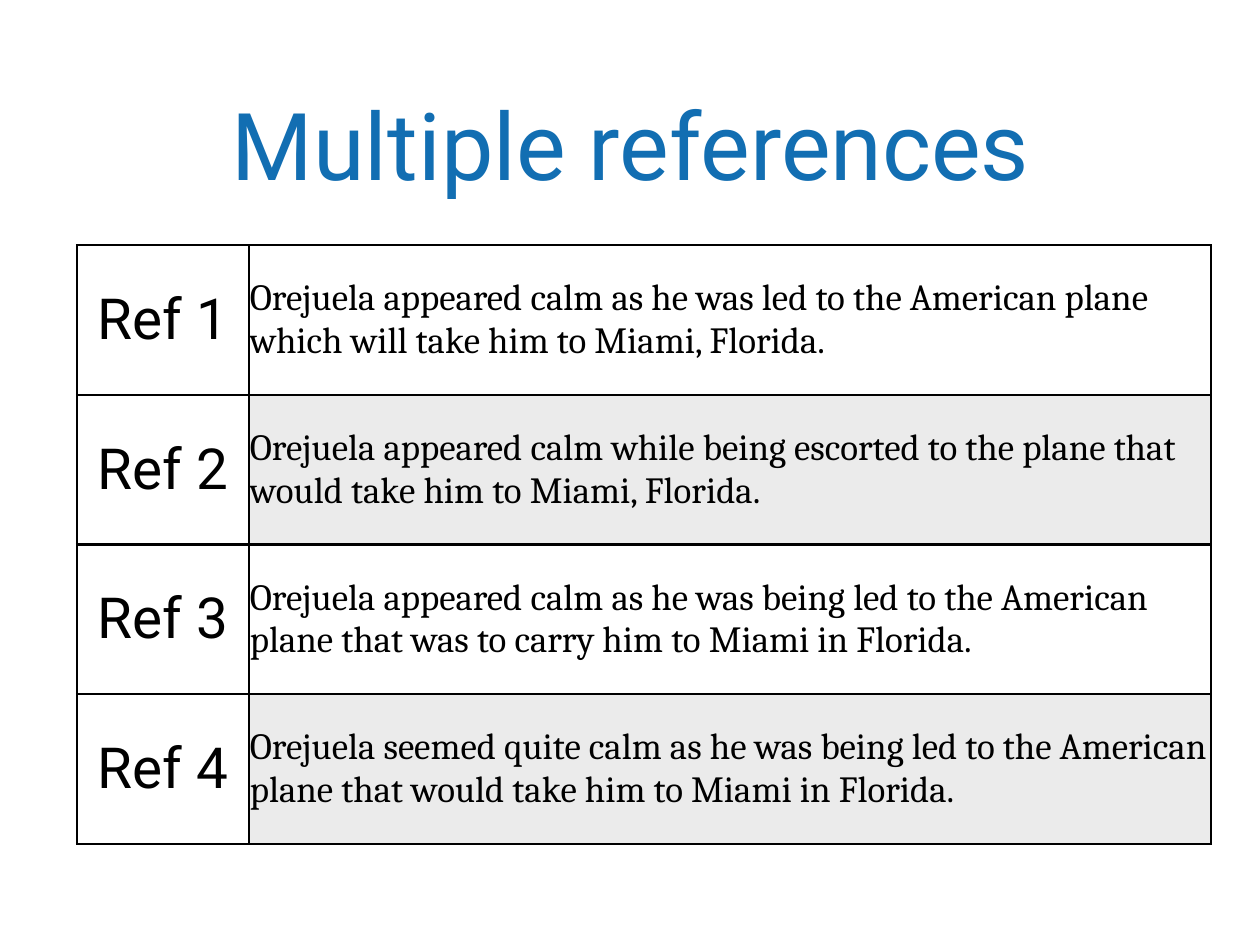
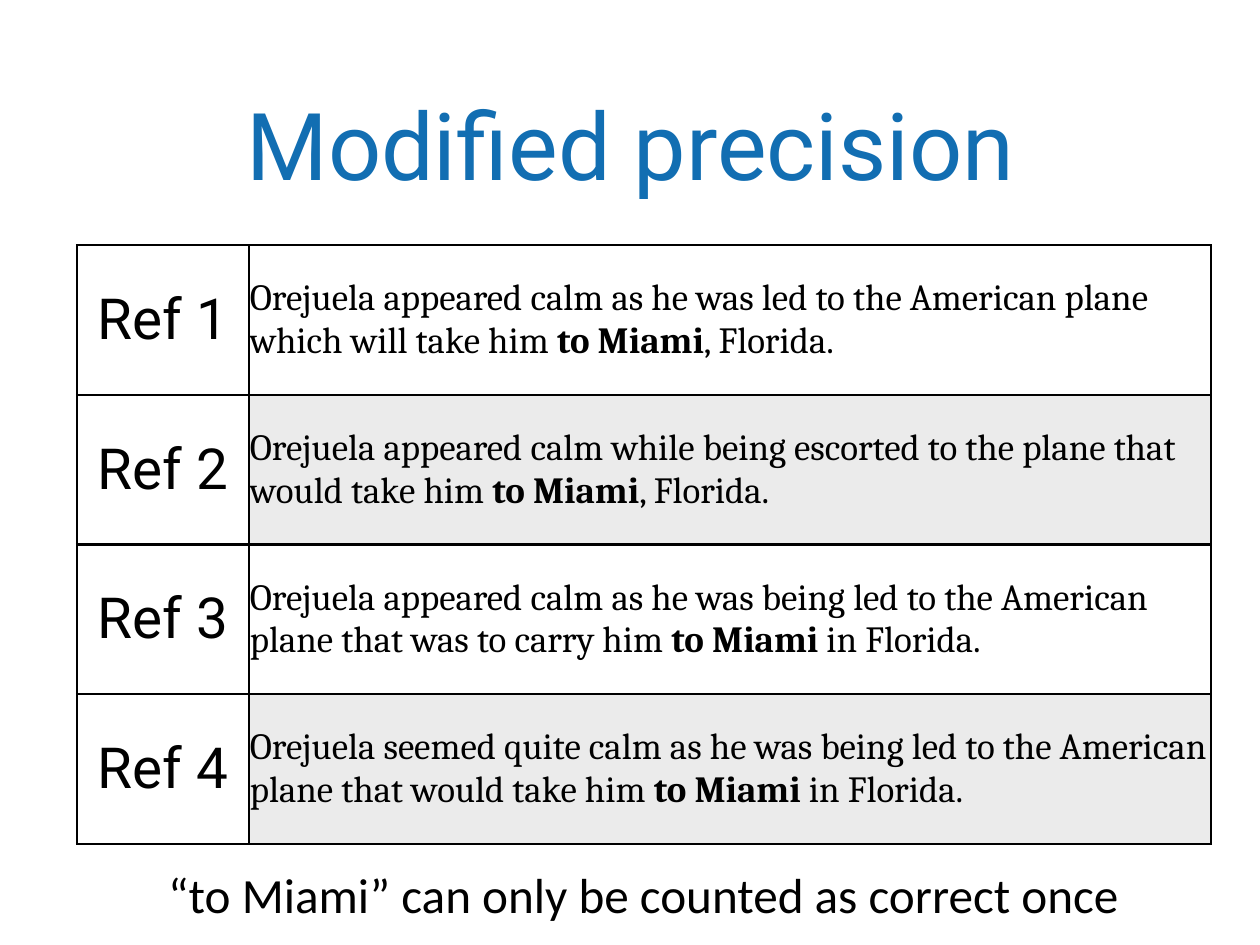
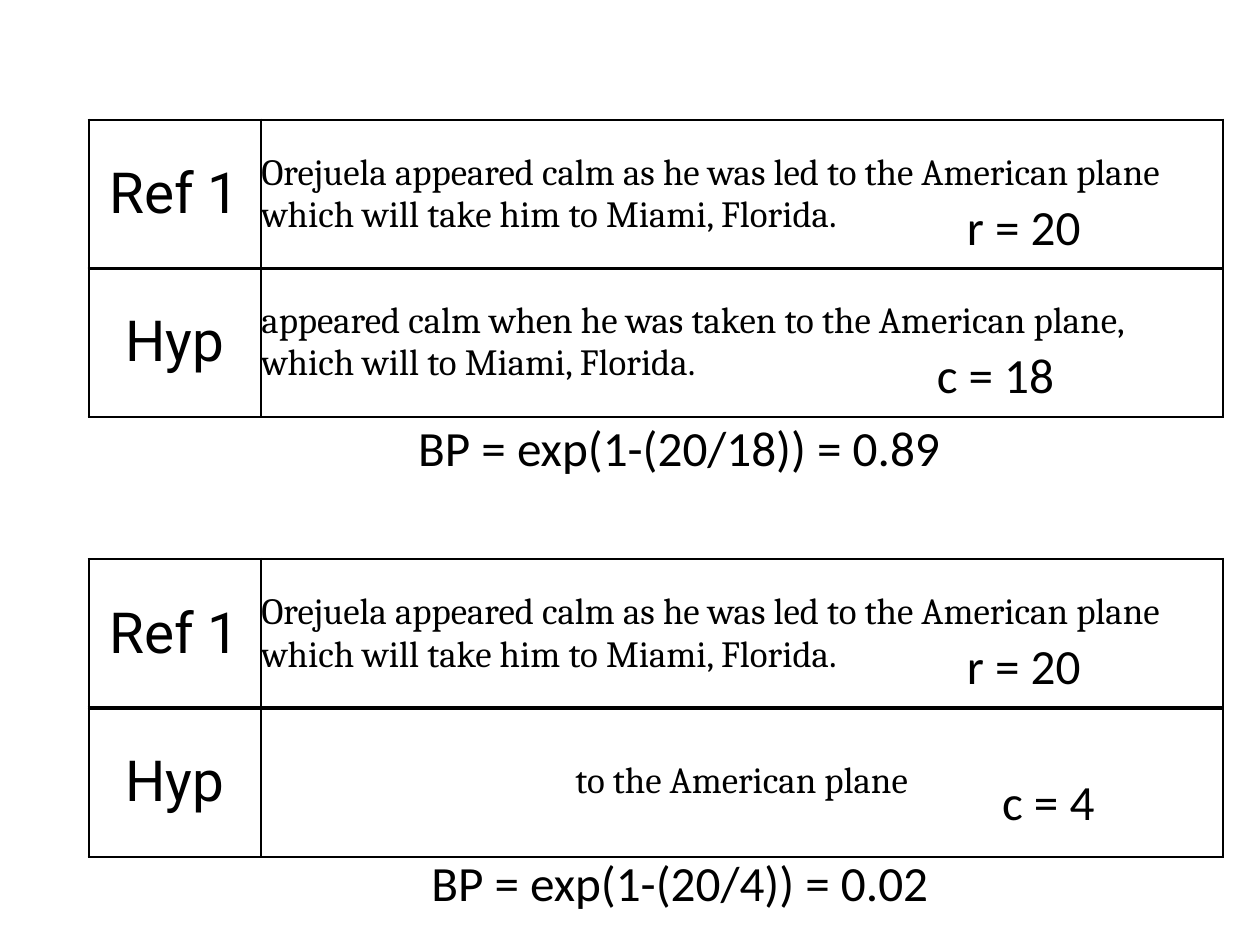
"""Build three slides on reference translations, modified precision and the brevity penalty."""
from lxml import etree
from pptx import Presentation
from pptx.dml.color import RGBColor
from pptx.enum.text import MSO_ANCHOR, MSO_AUTO_SIZE, PP_ALIGN
from pptx.oxml.ns import qn
from pptx.util import Pt

MIDDLE = MSO_ANCHOR.MIDDLE
GROW = MSO_AUTO_SIZE.SHAPE_TO_FIT_TEXT
FIXED = MSO_AUTO_SIZE.NONE
LEFT = PP_ALIGN.LEFT
CENTER = PP_ALIGN.CENTER

BLUE = RGBColor(0x12, 0x6E, 0xB2)
BLACK = RGBColor(0x00, 0x00, 0x00)
GREY = RGBColor(0xEB, 0xEB, 0xEB)

TITLE_FONT = {"name": "Roboto", "size": Pt(76), "color": BLUE}
LABEL_FONT = {"name": "Roboto", "size": Pt(46), "color": BLACK}
SENTENCE_FONT = {"name": "Cambria", "size": Pt(30), "color": BLACK}
NOTE_FONT = {"name": "Calibri", "size": Pt(40), "color": BLACK}

MARGIN_SIDES = ("margin_left", "margin_right", "margin_top", "margin_bottom")
BORDER_SIDES = ("a:lnL", "a:lnR", "a:lnT", "a:lnB")
COLUMN_WIDTHS = (139.8, 782)
ROW_HEIGHT = 121.6
ROW_STEP = 120.3
NOTE_HEIGHT = 54

PHRASE = "to Miami"
REFERENCES = (
    "Orejuela appeared calm as he was led to the American plane which will take him to Miami, Florida.",
    "Orejuela appeared calm while being escorted to the plane that would take him to Miami, Florida.",
    "Orejuela appeared calm as he was being led to the American plane that was to carry him to Miami in Florida.",
    "Orejuela seemed quite calm as he was being led to the American plane that would take him to Miami in Florida.",
)


def set_margins(holder, margin):
    """Give all four sides of a cell or text frame the same margin."""
    for side in MARGIN_SIDES:
        setattr(holder, side, Pt(margin))


def add_run(paragraph, text, font, bold=False):
    """Append a run with the given font values."""
    run = paragraph.add_run()
    run.text = text
    for attribute, value in font.items():
        if attribute == "color":
            run.font.color.rgb = value
        else:
            setattr(run.font, attribute, value)
    run.font.bold = bold


def add_text(slide, text, font, center, top, width, height, wrap=False):
    """Add a line of text centred on a horizontal position."""
    box = slide.shapes.add_textbox(Pt(center - width / 2), Pt(top), Pt(width), Pt(height))
    frame = box.text_frame
    frame_format = {
        "word_wrap": wrap,
        "auto_size": FIXED if wrap else GROW,
        "vertical_anchor": MIDDLE,
    }
    for attribute, value in frame_format.items():
        setattr(frame, attribute, value)
    set_margins(frame, 3.6)
    paragraph = frame.paragraphs[0]
    paragraph.alignment = CENTER
    add_run(paragraph, text, font)


def add_title(slide, text):
    """Add the shared slide title."""
    add_text(slide, text, TITLE_FONT, 512.4, 20, 824.4, 192.4, wrap=True)


def add_note(slide, text, center, top, width):
    """Add an unwrapped remark."""
    add_text(slide, text, NOTE_FONT, center, top, width, NOTE_HEIGHT)


def set_borders(cell):
    """Draw a black line on every side of a cell."""
    properties = cell._tc.get_or_add_tcPr()
    for position, side in enumerate(BORDER_SIDES):
        line = etree.Element(qn(side), w=str(Pt(2)))
        fill = etree.SubElement(line, qn("a:solidFill"))
        etree.SubElement(fill, qn("a:srgbClr"), val=str(BLACK))
        properties.insert(position, line)


def prepare_cell(cell, margin, alignment, shade=None):
    """Format a cell and return its paragraph."""
    cell.vertical_anchor = MIDDLE
    set_margins(cell, margin)
    if shade is None:
        cell.fill.background()
    else:
        cell.fill.solid()
        cell.fill.fore_color.rgb = shade
    set_borders(cell)
    paragraph = cell.text_frame.paragraphs[0]
    paragraph.alignment = alignment
    return paragraph


def add_sentence_table(slide, left, top, rows, alignment=LEFT, emphasise=False):
    """Add a table of labelled sentences, shading every second sentence."""
    frame = slide.shapes.add_table(
        len(rows), 2, Pt(left), Pt(top), Pt(sum(COLUMN_WIDTHS)), Pt(ROW_HEIGHT * len(rows)))
    table = frame.table
    table.first_row = False
    table.horz_banding = False
    for column, width in zip(table.columns, COLUMN_WIDTHS):
        column.width = Pt(width)
    for index, (label, sentence) in enumerate(rows):
        table.rows[index].height = Pt(ROW_HEIGHT)
        add_run(prepare_cell(table.cell(index, 0), 2.9, CENTER), label, LABEL_FONT)
        shade = GREY if index % 2 else None
        paragraph = prepare_cell(table.cell(index, 1), 0.7, alignment, shade)
        paragraph.space_before = Pt(12)
        parts = sentence.partition(PHRASE) if emphasise else (sentence,)
        for part in parts:
            add_run(paragraph, part, SENTENCE_FONT, bold=part == PHRASE)


def add_references(slide, title, emphasise=False):
    """Add a title and the table of all references."""
    add_title(slide, title)
    rows = [(f"Ref {number}", sentence) for number, sentence in enumerate(REFERENCES, 1)]
    add_sentence_table(slide, 62.6, 199.4, rows, emphasise=emphasise)


def add_brevity_example(slide, top, hypothesis, alignment, length, penalty):
    """Add a reference and a hypothesis with their lengths and brevity penalty."""
    add_sentence_table(slide, 72, top + ROW_STEP, [("Hyp", hypothesis)], alignment)
    add_sentence_table(slide, 72, top, [("Ref 1", REFERENCES[0])])
    add_note(slide, "r = 20", 832, top + 59, 113)
    add_note(slide, *length)
    add_note(slide, *penalty)


def main():
    """Build and save the presentation."""
    deck = Presentation()
    deck.slide_width, deck.slide_height = Pt(1024), Pt(768)
    blank = deck.slide_layouts[6]
    references, precision, brevity = (deck.slides.add_slide(blank) for _ in range(3))

    add_references(references, "Multiple references")

    add_references(precision, "Modified precision", emphasise=True)
    add_note(precision, "“to Miami” can only be counted as correct once", 523, 699, 808)

    add_brevity_example(
        brevity, 97.2,
        "appeared calm when he was taken to the American plane, which will to Miami, Florida.",
        LEFT, ("c = 18", 809, 276.5, 114), ("BP = exp(1-(20/18)) = 0.89", 552, 336.2, 457))
    add_brevity_example(
        brevity, 454.3, "to the American plane", CENTER,
        ("c = 4", 852, 623.5, 94), ("BP = exp(1-(20/4)) = 0.02", 552.5, 689.8, 437))

    deck.save("out.pptx")


if __name__ == "__main__":
    main()
